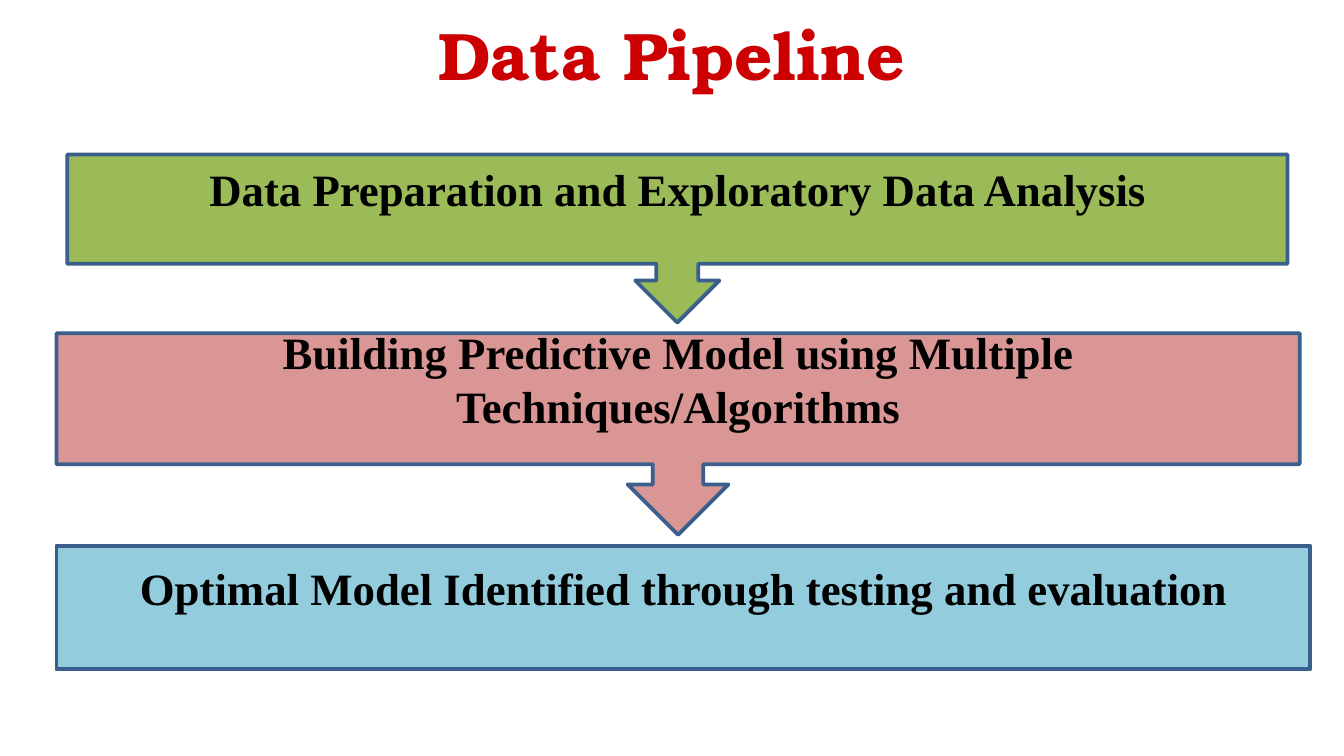
import pptx
import pptx.util
import pptx.dml.color
import pptx.enum.shapes
import pptx.enum.text

Inches = pptx.util.Inches
Pt = pptx.util.Pt
RGBColor = pptx.dml.color.RGBColor
MSO_SHAPE = pptx.enum.shapes.MSO_SHAPE

RED = RGBColor(0xCC, 0x00, 0x00)
BLACK = RGBColor(0x00, 0x00, 0x00)
GREEN = RGBColor(0x9B, 0xBB, 0x59)
PINK = RGBColor(0xD9, 0x96, 0x94)
AQUA = RGBColor(0x93, 0xCD, 0xDD)
OUTLINE = RGBColor(0x3A, 0x5F, 0x8C)


def write_centered(shape, text, font_name, size, color):
    frame = shape.text_frame
    frame.word_wrap = True
    frame.vertical_anchor = pptx.enum.text.MSO_ANCHOR.MIDDLE
    paragraph = frame.paragraphs[0]
    paragraph.alignment = pptx.enum.text.PP_ALIGN.CENTER
    run = paragraph.add_run()
    run.text = text
    run.font.name = font_name
    run.font.size = Pt(size)
    run.font.bold = True
    run.font.color.rgb = color


presentation = pptx.Presentation()
presentation.slide_width = Inches(10)
presentation.slide_height = Inches(10 * 9 / 16)
slide = presentation.slides.add_slide(presentation.slide_layouts[6])

title = slide.shapes.add_textbox(Inches(0.34), Inches(0.15), Inches(9.32), Inches(0.5))
write_centered(title, "Data Pipeline", "TeX Gyre Bonum", 36, RED)

stages = [
    (MSO_SHAPE.DOWN_ARROW_CALLOUT, 0.5, 1.15, 9.08, 1.25, GREEN,
     "Data Preparation and Exploratory Data Analysis"),
    (MSO_SHAPE.DOWN_ARROW_CALLOUT, 0.42, 2.48, 9.25, 1.5, PINK,
     "Building Predictive Model using Multiple Techniques/Algorithms"),
    (MSO_SHAPE.RECTANGLE, 0.42, 4.06, 9.33, 0.92, AQUA,
     "Optimal Model Identified through testing and evaluation"),
]

for kind, left, top, width, height, color, text in stages:
    stage = slide.shapes.add_shape(
        kind, Inches(left), Inches(top), Inches(width), Inches(height))
    stage.shadow.inherit = False
    stage.fill.solid()
    stage.fill.fore_color.rgb = color
    stage.line.color.rgb = OUTLINE
    stage.line.width = Pt(2)
    stage.text_frame.margin_bottom = Inches(0.35)
    write_centered(stage, text, "Times New Roman", 24, BLACK)

presentation.save("out.pptx")
